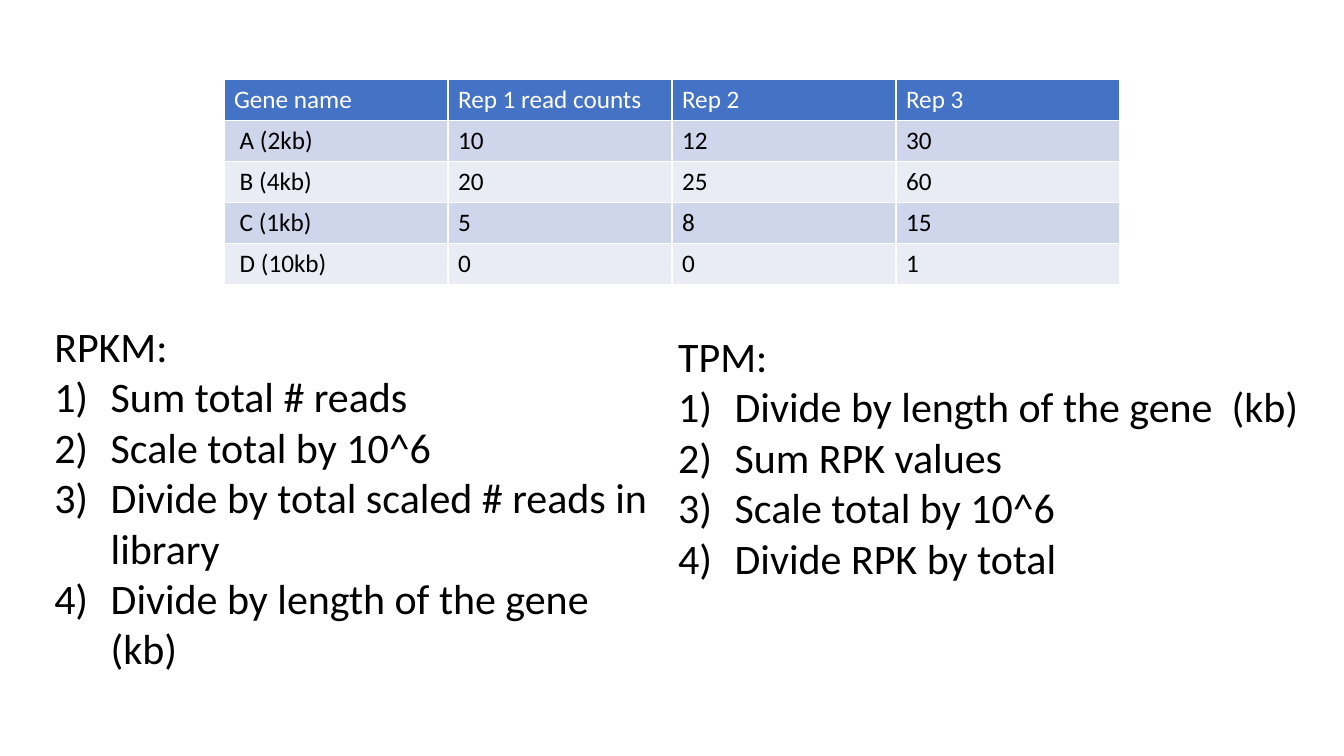
from lxml import etree
from pptx import Presentation
from pptx.dml.color import RGBColor
from pptx.enum.text import MSO_AUTO_SIZE
from pptx.oxml.ns import qn
from pptx.util import Inches, Pt

FIT = MSO_AUTO_SIZE.SHAPE_TO_FIT_TEXT
FONT = "Calibri"
WHITE = RGBColor(0xFF, 0xFF, 0xFF)
BLACK = RGBColor(0, 0, 0)
BLUE = RGBColor(0x44, 0x72, 0xC4)
BANDS = RGBColor(0xE9, 0xEB, 0xF5), RGBColor(0xCF, 0xD5, 0xEA)

# Content
COUNTS = [
    ("Gene name", "Rep 1 read counts", "Rep 2", "Rep 3"),
    (" A (2kb)", "10", "12", "30"),
    (" B (4kb)", "20", "25", "60"),
    (" C (1kb)", "5", "8", "15"),
    (" D (10kb)", "0", "0", "1"),
]
# Title, steps, box (left, top, width, height), wrap
LISTS = [
    ("RPKM:",
     ["Sum total # reads", "Scale total by 10^6",
      "Divide by total scaled # reads in library",
      "Divide by length of the gene  (kb)"],
     (0.44, 3.13, 6.2, 3.64), True),
    ("TPM:",
     ["Divide by length of the gene  (kb)", "Sum RPK values",
      "Scale total by 10^6", "Divide RPK by total"],
     (6.63, 3.23, 6.41, 2.63), False),
]

# Layout
WIDE, HIGH = Inches(13.333), Inches(7.5)
COL, ROW = WIDE // 6, Inches(0.406)
TOP = Inches(0.79)
INDENT = Inches(0.56)


def write(para, text, size=18, color=BLACK, number=False):
    run = para.add_run()
    run.text = text
    font = run.font
    font.name, font.size, font.bold = FONT, Pt(size), False
    font.color.rgb = color
    if number:
        props = para._p.get_or_add_pPr()
        props.set("marL", str(INDENT))
        props.set("indent", str(-INDENT))
        etree.SubElement(props, qn("a:buFont"), typeface="+mj-lt")
        etree.SubElement(props, qn("a:buAutoNum"), type="arabicParenR")


def add_counts(slide):
    rows, cols = len(COUNTS), len(COUNTS[0])
    table = slide.shapes.add_table(
        rows, cols, COL, TOP, COL * cols, ROW * rows).table
    for r, line in enumerate(COUNTS):
        for c, text in enumerate(line):
            cell = table.cell(r, c)
            cell.fill.solid()
            cell.fill.fore_color.rgb = BANDS[r % 2] if r else BLUE
            write(cell.text_frame.paragraphs[0], text,
                  color=BLACK if r else WHITE)


def add_list(slide, title, steps, box, wrap):
    frame = slide.shapes.add_textbox(*map(Inches, box)).text_frame
    frame.word_wrap = wrap
    frame.auto_size = FIT
    write(frame.paragraphs[0], title, size=30)
    for step in steps:
        write(frame.add_paragraph(), step, size=30, number=True)


def main():
    deck = Presentation()
    deck.slide_width, deck.slide_height = WIDE, HIGH
    slide = deck.slides.add_slide(deck.slide_layouts[6])
    # Read counts
    add_counts(slide)
    # Method steps
    for entry in LISTS:
        add_list(slide, *entry)
    deck.save("out.pptx")


if __name__ == "__main__":
    main()
